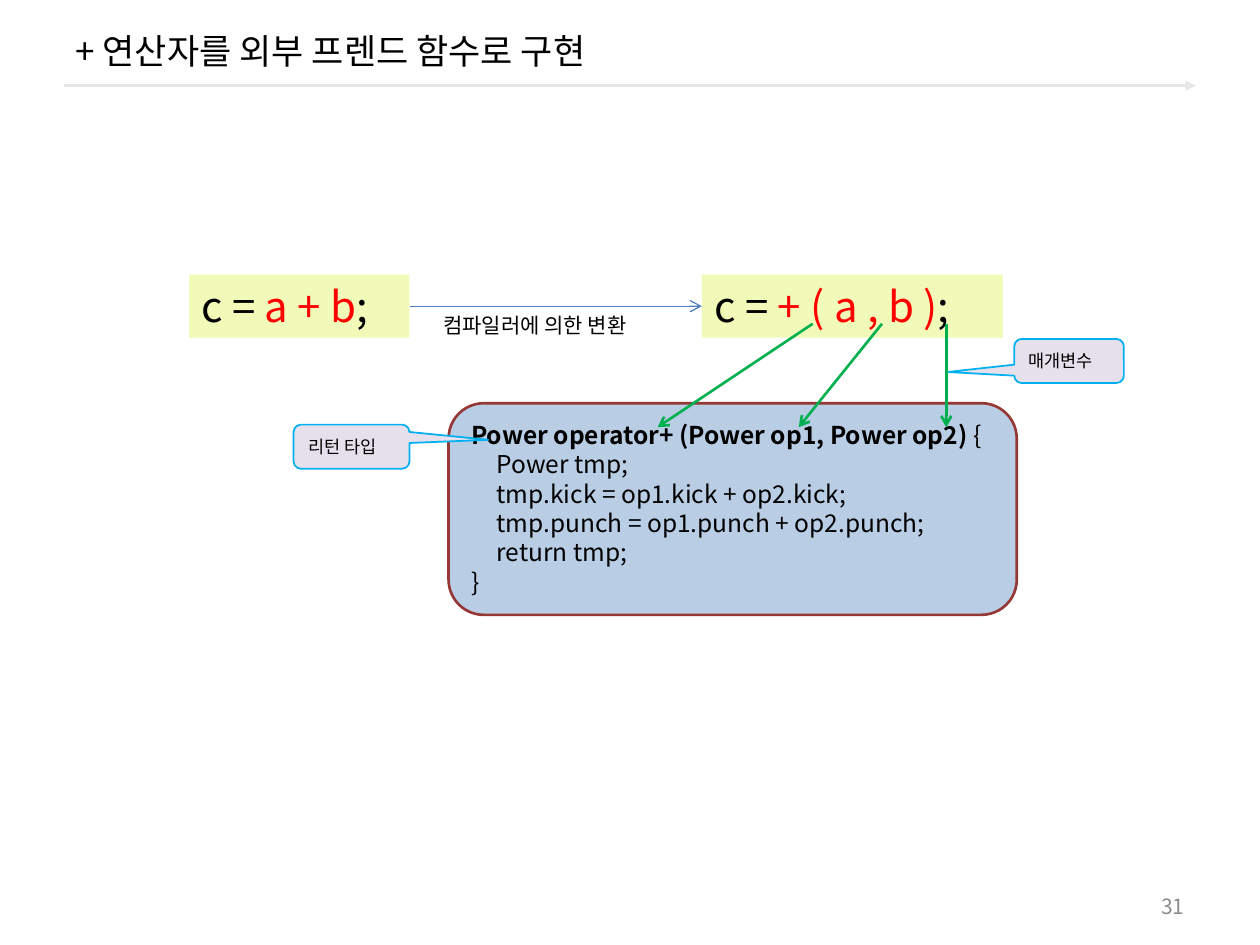
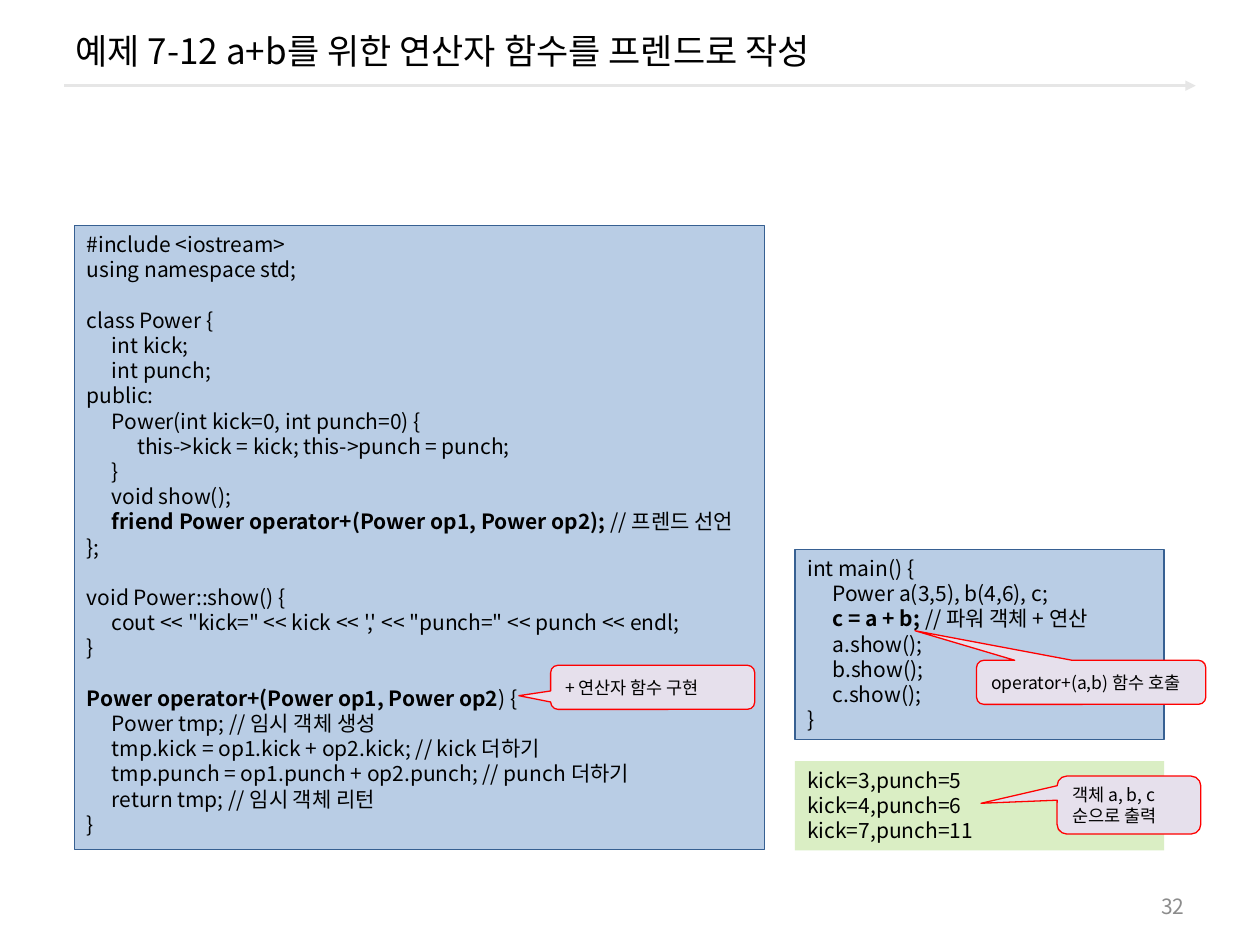
from dataclasses import dataclass

from lxml import etree
from pptx import Presentation
from pptx.dml.color import RGBColor
from pptx.enum.shapes import MSO_CONNECTOR, MSO_SHAPE
from pptx.enum.text import MSO_ANCHOR, PP_ALIGN
from pptx.oxml.ns import qn
from pptx.util import Inches, Pt

RECTANGLE = MSO_SHAPE.RECTANGLE
ROUNDED = MSO_SHAPE.ROUNDED_RECTANGLE
CALLOUT = MSO_SHAPE.ROUNDED_RECTANGULAR_CALLOUT
STRAIGHT = MSO_CONNECTOR.STRAIGHT
TOP, MIDDLE = MSO_ANCHOR.TOP, MSO_ANCHOR.MIDDLE
LEFT, RIGHT = PP_ALIGN.LEFT, PP_ALIGN.RIGHT
RIGHT_SIDE, LEFT_SIDE = 3, 1


@dataclass(frozen=True)
class Theme:
    font: str = "Noto Sans CJK KR"
    ink: str = "000000"
    number: str = "8C8C8C"
    rule: str = "E6E6E6"
    code: str = "B9CDE5"
    code_edge: str = "376092"
    function_edge: str = "953735"
    expression: str = "F1FAB8"
    output: str = "DAEEC4"
    note: str = "E6E0EC"
    note_blue: str = "00B0F0"
    red: str = "FF0000"
    conversion: str = "4B7EBC"
    mapping: str = "00B050"
    title_size: int = 20
    expression_size: int = 24
    function_size: int = 14
    body_size: int = 12
    note_size: int = 10
    line_height: float = 1.2
    indent: float = 0.2


THEME = Theme()


@dataclass(frozen=True)
class Box:
    left: float
    top: float
    width: float
    height: float

    def inside(self, left, top, width, height):
        """Return a box offset from this one's top left corner."""
        return Box(self.left + left, self.top + top, width, height)

    def inches(self):
        return [Inches(value) for value in (self.left, self.top, self.width, self.height)]


def color(value):
    return RGBColor.from_string(value)


def write(shape, text, size, ink=THEME.ink, anchor=TOP, align=LEFT, emphasis=None):
    """Fill a shape; ** marks emphasis (bold, or a colour if given), tabs indent, empty lines become gaps."""
    frame = shape.text_frame
    frame.word_wrap = True
    frame.vertical_anchor = anchor
    paragraph, gap = None, 0
    for line in text.split("\n"):
        if not line:
            gap += size * THEME.line_height
            continue
        paragraph = frame.add_paragraph() if paragraph else frame.paragraphs[0]
        paragraph.alignment = align
        paragraph.line_spacing = Pt(size * THEME.line_height)
        paragraph.space_before = Pt(gap)
        gap = 0
        content = line.lstrip("\t")
        indent = (len(line) - len(content)) * THEME.indent
        properties = paragraph._p.get_or_add_pPr()
        properties.set("marL", str(Inches(indent)))
        properties.set("indent", "0")
        for index, part in enumerate(content.split("**")):
            if not part:
                continue
            run = paragraph.add_run()
            run.text = part
            emphasized = index % 2 == 1
            font = run.font
            font.name, font.size = THEME.font, Pt(size)
            font.bold = emphasized and emphasis is None
            font.color.rgb = color(emphasis if emphasized and emphasis else ink)
            east_asian = etree.SubElement(run._r.get_or_add_rPr(), qn("a:ea"))
            east_asian.set("typeface", THEME.font)


def add_panel(slide, box, fill, edge=None, edge_width=0.75, kind=RECTANGLE):
    shape = slide.shapes.add_shape(kind, *box.inches())
    shape.shadow.inherit = False
    shape.fill.solid()
    shape.fill.fore_color.rgb = color(fill)
    if edge:
        shape.line.color.rgb = color(edge)
        shape.line.width = Pt(edge_width)
    else:
        shape.line.fill.background()
    return shape


def add_label(slide, box, text, size, **style):
    label = slide.shapes.add_textbox(*box.inches())
    write(label, text, size, **style)


def add_callout(slide, box, text, pointer, edge, edge_width=0.75):
    """Add a note whose tip is offset from its centre by fractions of its size."""
    note = add_panel(slide, box, THEME.note, edge, edge_width, CALLOUT)
    note.adjustments[0], note.adjustments[1] = pointer
    write(note, text, THEME.note_size, anchor=MIDDLE)


def add_arrow(slide, start, end, ink, width, head="arrow"):
    points = [Inches(value) for value in (*start, *end)]
    arrow = slide.shapes.add_connector(STRAIGHT, *points)
    arrow.line.color.rgb = color(ink)
    arrow.line.width = Pt(width)
    etree.SubElement(arrow.line._get_or_add_ln(), qn("a:tailEnd")).set("type", head)
    etree.SubElement(arrow._element.spPr, qn("a:effectLst"))
    return arrow


def add_base_slide(presentation, title, number):
    """Add a slide with the shared title, rule and page number."""
    slide = presentation.slides.add_slide(presentation.slide_layouts[6])
    add_arrow(slide, (0.51, 0.68), (9.49, 0.68), THEME.rule, 1.5, "triangle")
    add_label(slide, Box(0.5, 0.08, 9, 0.64), title, THEME.title_size, anchor=MIDDLE)
    add_label(slide, Box(7.17, 7.03, 2.33, 0.32), str(number), THEME.body_size,
              ink=THEME.number, anchor=MIDDLE, align=RIGHT)
    return slide


OPERATOR_FUNCTION = """**Power operator+ (Power op1, Power op2) **{
\tPower tmp;
\ttmp.kick = op1.kick + op2.kick;
\ttmp.punch = op1.punch + op2.punch;
\treturn tmp;
}"""

POWER_CLASS = """#include <iostream>
using namespace std;

class Power {
\tint kick;
\tint punch;
public:
\tPower(int kick=0, int punch=0) {
\t\tthis->kick = kick; this->punch = punch;
\t}
\tvoid show();
\t**friend Power operator+(Power op1, Power op2);** // 프렌드 선언
};

void Power::show() {
\tcout << "kick=" << kick << ',' << "punch=" << punch << endl;
}

**Power operator+(Power op1, Power op2**) {
\tPower tmp; // 임시 객체 생성
\ttmp.kick = op1.kick + op2.kick; // kick 더하기
\ttmp.punch = op1.punch + op2.punch; // punch 더하기
\treturn tmp; // 임시 객체 리턴
}"""

MAIN_FUNCTION = """int main() {
\tPower a(3,5), b(4,6), c;
\t**c = a + b; **// 파워 객체 + 연산
\ta.show();
\tb.show();
\tc.show();
}"""

PROGRAM_OUTPUT = """kick=3,punch=5
kick=4,punch=6
kick=7,punch=11"""


def draw_function(slide, box):
    function = add_panel(slide, box, THEME.code, THEME.function_edge, 1.5, ROUNDED)
    write(function, OPERATOR_FUNCTION, THEME.function_size)


def draw_conversion(slide, box):
    """Draw the source expression, its converted form and the arrow between."""
    expressions = []
    for left, width, text in ((0, 1.75, "c = **a + b**;"), (4.07, 2.39, "c = **+ ( a , b )**;")):
        expression = add_panel(slide, box.inside(left, 0, width, box.height), THEME.expression)
        write(expression, text, THEME.expression_size, emphasis=THEME.red)
        expressions.append(expression)
    middle = box.top + box.height / 2
    arrow = add_arrow(slide, (box.left + 1.75, middle), (box.left + 4.07, middle),
                      THEME.conversion, 0.75)
    arrow.begin_connect(expressions[0], RIGHT_SIDE)
    arrow.end_connect(expressions[1], LEFT_SIDE)
    add_label(slide, box.inside(1.92, 0.25, 2.06, 0.3), "컴파일러에 의한 변환", THEME.body_size)


def draw_operator_diagram(slide, box):
    draw_function(slide, box.inside(2.06, 1.02, 4.51, 1.68))
    draw_conversion(slide, box.inside(0, 0, 6.46, 0.5))
    add_callout(slide, box.inside(0.83, 1.19, 0.92, 0.35), "리턴 타입",
                (1.18, -0.155), THEME.note_blue, 1)
    add_callout(slide, box.inside(6.55, 0.51, 0.87, 0.35), "매개변수",
                (-1.11, 0.25), THEME.note_blue, 1)
    for start, end in ((4.95, 3.72), (5.5, 4.84), (6.01, 6.01)):
        add_arrow(slide, (box.left + start, box.top + 0.39),
                  (box.left + end, box.top + 1.21), THEME.mapping, 1.5)


def draw_listing(slide, box, text, note_box, note, pointer, fill=THEME.code, edge=THEME.code_edge):
    """Draw a text panel and a note placed relative to it."""
    panel = add_panel(slide, box, fill, edge)
    write(panel, text, THEME.body_size)
    add_callout(slide, box.inside(*note_box), note, pointer, THEME.red)


def build_concept_slide(presentation):
    slide = add_base_slide(presentation, "+ 연산자를 외부 프렌드 함수로 구현", 31)
    draw_operator_diagram(slide, Box(1.5, 2.18, 7.42, 2.7))


def build_example_slide(presentation):
    slide = add_base_slide(presentation, "예제 7-12 a+b를 위한 연산자 함수를 프렌드로 작성", 32)
    draw_listing(slide, Box(0.59, 1.79, 5.48, 4.95), POWER_CLASS,
                 (3.78, 3.49, 1.62, 0.35), "+ 연산자 함수 구현", (-0.656, 0.19))
    draw_listing(slide, Box(6.31, 4.36, 2.93, 1.51), MAIN_FUNCTION,
                 (1.44, 0.88, 1.82, 0.35), "operator+(a,b) 함수 호출", (-0.768, -1.17))
    draw_listing(slide, Box(6.31, 6.04, 2.93, 0.71), PROGRAM_OUTPUT,
                 (2.08, 0.12, 1.14, 0.46), "객체 a, b, c 순으로 출력", (-1.03, -0.03),
                 fill=THEME.output, edge=None)


def main():
    presentation = Presentation()
    presentation.slide_width = Inches(10)
    presentation.slide_height = Inches(7.5)
    build_concept_slide(presentation)
    build_example_slide(presentation)
    presentation.save("out.pptx")


if __name__ == "__main__":
    main()
